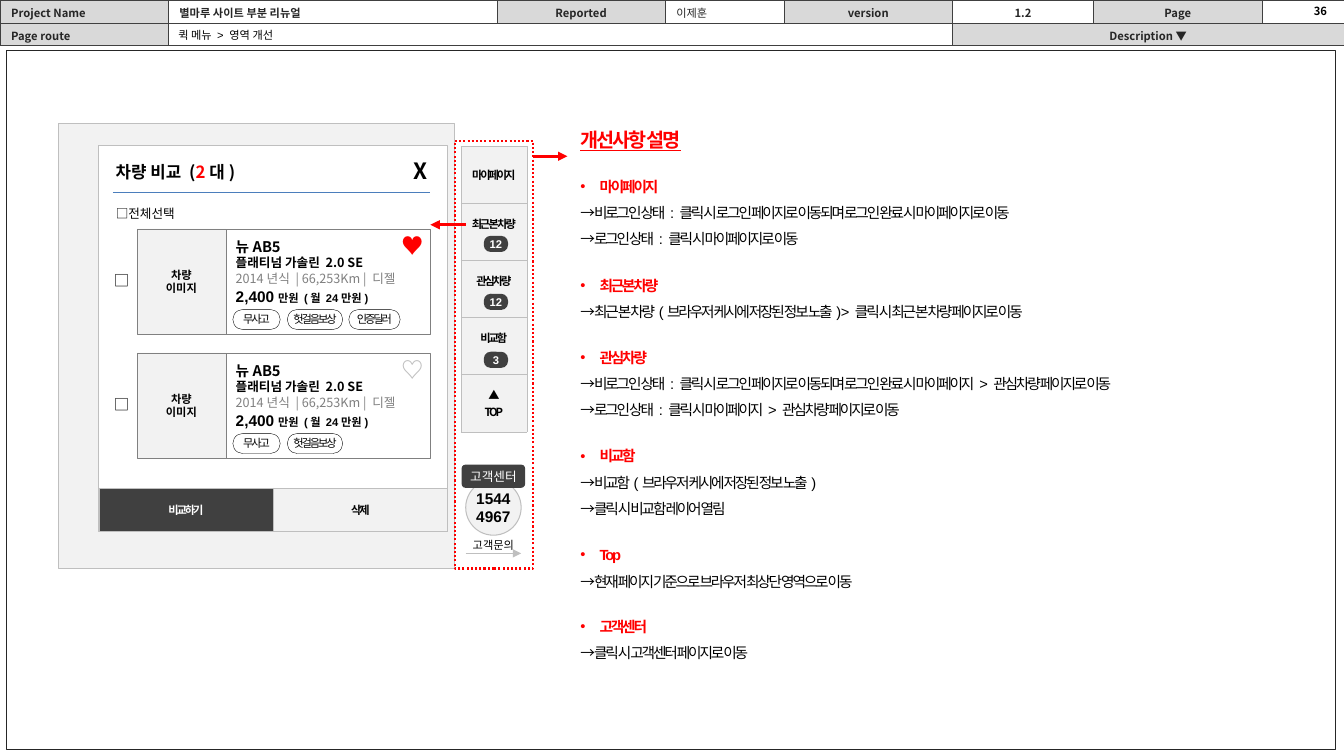
import pptx
import pptx.util
import pptx.dml.color
import pptx.enum.dml
import pptx.enum.shapes
import pptx.enum.text
import pptx.oxml
import pptx.oxml.ns
import lxml.etree

theme = {
    "sans": "Noto Sans CJK KR", "latin": "Arial",
    "black": "000000", "white": "FFFFFF", "ink": "262626", "dark": "404040",
    "gray": "808080", "silver": "BFBFBF", "header": "D9D9D9", "pale": "F2F2F2",
    "red": "FF0000", "blue": "4B7EBC",
    "small": 8, "note": 9, "body": 10.5, "number": 11, "title": 12, "heading": 14, "icon": 16,
}
RECTANGLE = pptx.enum.shapes.MSO_SHAPE.RECTANGLE
ROUNDED = pptx.enum.shapes.MSO_SHAPE.ROUNDED_RECTANGLE
OVAL = pptx.enum.shapes.MSO_SHAPE.OVAL
MIDDLE = pptx.enum.text.MSO_ANCHOR.MIDDLE
TOP = pptx.enum.text.MSO_ANCHOR.TOP
LEFT = pptx.enum.text.PP_ALIGN.LEFT
CENTER = pptx.enum.text.PP_ALIGN.CENTER
RIGHT = pptx.enum.text.PP_ALIGN.RIGHT
color = pptx.dml.color.RGBColor.from_string
qn = pptx.oxml.ns.qn

presentation = pptx.Presentation()
presentation.slide_width = pptx.util.Inches(13.33)
presentation.slide_height = pptx.util.Inches(7.5)
slide = presentation.slides.add_slide(presentation.slide_layouts[6])
column = presentation.slide_width / 160
row = presentation.slide_height / 90


def write(frame, lines, align=LEFT, spacing=(), tight=False, **base):
    for index, line in enumerate(lines):
        paragraph = frame.paragraphs[0] if index == 0 else frame.add_paragraph()
        paragraph.alignment = align
        if spacing:
            paragraph.line_spacing = pptx.util.Pt(spacing[index % len(spacing)])
        for text, changes in ([(line, {})] if isinstance(line, str) else line):
            style = {"size": theme["small"], "name": theme["sans"], "color": theme["black"],
                     "bold": False, **base, **changes}
            run = paragraph.add_run()
            run.text = text
            run.font.color.rgb = color(style.pop("color"))
            style["size"] = pptx.util.Pt(style["size"])
            for attribute, value in style.items():
                setattr(run.font, attribute, value)
            properties = run._r.get_or_add_rPr()
            lxml.etree.SubElement(properties, qn("a:ea"), typeface=theme["sans"])
            if tight:
                properties.set("spc", "-150")


def box(kind, place, fill=None, line=None, weight=0.75, radius=None, anchor=MIDDLE, margins=(0.1, 0, 0.1, 0)):
    size = [round(value * unit) for value, unit in zip(place, (column, row, column, row))]
    if kind is None:
        shape = slide.shapes.add_textbox(*size)
    else:
        shape = slide.shapes.add_shape(kind, *size)
        shape.shadow.inherit = False
        if fill:
            shape.fill.solid()
            shape.fill.fore_color.rgb = color(fill)
        else:
            shape.fill.background()
        if line:
            shape.line.color.rgb = color(line)
            shape.line.width = pptx.util.Pt(weight)
        else:
            shape.line.fill.background()
        if radius is not None:
            shape.adjustments[0] = radius
    frame = shape.text_frame
    frame.word_wrap = True
    frame.vertical_anchor = anchor
    for side, margin in zip(("left", "top", "right", "bottom"), margins):
        setattr(frame, "margin_" + side, pptx.util.Inches(margin))
    return shape


box(RECTANGLE, (0.72, 6, 158.28, 83.16), line=theme["ink"], weight=0.5)
box(RECTANGLE, (6.96, 14.76, 47.16, 52.92), theme["pale"], theme["silver"])
quick_area = box(RECTANGLE, (54.12, 16.8, 9.36, 50.88), line=theme["red"], weight=1.5)
quick_area.line.dash_style = pptx.enum.dml.MSO_LINE.ROUND_DOT
box(RECTANGLE, (11.76, 17.28, 41.52, 45.96), theme["white"], theme["silver"])

label = {"bold": True, "color": theme["ink"]}
head = {"fill": theme["header"], "format": label}
head_center = {**head, "align": CENTER}
value = {"fill": theme["white"], "format": label}
menu = {"fill": theme["pale"], "align": CENTER, "tight": True, "format": {"bold": True}}
counted = {**menu, "bottom": 0.16}
tables = [
    ((0, 0), (20.04, 39.12, 20.04, 14.16, 20.04, 16.8, 20.04, 9.76), 2.7, theme["dark"],
     (0.11, 0.03, 0.11, 0), [((1, 1), (1, 4)), ((1, 5), (1, 7))], [
        [("Project Name", head), ("별마루 사이트 부분 리뉴얼", value), ("Reported", head_center),
         ("이제훈", {"fill": theme["white"], "format": {"color": theme["ink"]}}),
         ("version", head_center), ("1.2", {**value, "align": CENTER}), ("Page", head_center), ("", value)],
        [("Page route", head)] + [("", value)] * 4 + [("Description ▼", head_center)] + [("", head)] * 2]),
    ((54.84, 17.4), (7.92,), 6.8, theme["silver"], (0, 0, 0, 0), [], [
        [("마이페이지", menu)], [("최근 본 차량", counted)], [("관심차량", counted)],
        [("비교함", counted)], [("▲\nTOP", menu)]]),
    ((11.76, 58.08), (20.76, 20.76), 5.16, theme["silver"], (0, 0, 0, 0), [], [
        [("비교하기", {**menu, "fill": theme["dark"], "format": {"bold": True, "color": theme["white"]}}),
         ("삭제", menu)]]),
]
for (left, top), widths, height, border, margins, merges, rows in tables:
    graphic = slide.shapes.add_table(
        len(rows), len(widths), round(left * column), round(top * row),
        round(sum(widths) * column), round(len(rows) * height * row))
    table = graphic.table
    table.first_row = table.horz_banding = False
    for index, width in enumerate(widths):
        table.columns[index].width = round(width * column)
    for row_index, entries in enumerate(rows):
        table.rows[row_index].height = round(height * row)
        for column_index, (text, look) in enumerate(entries):
            cell = table.cell(row_index, column_index)
            cell.vertical_anchor = MIDDLE
            for side, margin in zip(("left", "top", "right", "bottom"), margins):
                setattr(cell, "margin_" + side, pptx.util.Inches(look.get(side, margin)))
            for edge in ("L", "R", "T", "B"):
                line = lxml.etree.SubElement(cell._tc.get_or_add_tcPr(), qn("a:ln" + edge), w="3175")
                solid = lxml.etree.SubElement(line, qn("a:solidFill"))
                lxml.etree.SubElement(solid, qn("a:srgbClr"), val=border)
            cell.fill.solid()
            cell.fill.fore_color.rgb = color(look["fill"])
            if text:
                lines = text.split("\n")
                write(cell.text_frame, lines, look.get("align", LEFT), (12,) if len(lines) > 1 else (),
                      look.get("tight", False), **look["format"])
            else:
                cell.text_frame.paragraphs[0].font.size = pptx.util.Pt(theme["small"])
    for start, end in merges:
        table.cell(*start).merge(table.cell(*end))

labels = [
    ((154.2, 0.12, 6, 2.28), ["36"], CENTER, {"bold": True}),
    ((20.04, 2.88, 93.24, 2.52), ["퀵 메뉴 > 영역 개선"], LEFT, {"name": theme["latin"]}),
    ((54.48, 63.48, 8.52, 2.88), ["고객문의"], CENTER, {}),
    ((12.6, 18.6, 23.4, 3.6), [[("차량 비교 (", {}), ("2", {"color": theme["red"]}), ("대)", {})]],
     LEFT, {"size": theme["title"], "bold": True}),
    ((28.68, 18.12, 23.4, 4.44), ["X"], RIGHT, {"size": theme["icon"], "bold": True}),
    ((12.6, 23.88, 30.24, 3), ["□전체선택"], LEFT, {"size": theme["note"]}),
]
for place, lines, align, style in labels:
    write(box(None, place).text_frame, lines, align, **style)

for index, count in enumerate(("12", "12", "3")):
    badge = box(ROUNDED, (57.6, 28.08 + 6.9 * index, 2.88, 1.92), theme["dark"], radius=0.42, margins=(0, 0, 0, 0))
    write(badge.text_frame, [count], CENTER, name=theme["latin"], color=theme["white"], bold=True)

phone = box(OVAL, (55.44, 57.12, 6.6, 6.6), theme["pale"], theme["silver"], margins=(0, 0, 0, 0))
write(phone.text_frame, ["1544", "4967"], CENTER, name=theme["latin"], size=theme["number"], bold=True)
center = box(ROUNDED, (54.96, 55.32, 7.56, 2.76), theme["dark"], margins=(0, 0, 0, 0))
write(center.text_frame, ["고객센터"], CENTER, name=theme["latin"], size=theme["note"], color=theme["white"])

pills = [("무사고", 27.72, 5.64), ("헛걸음보상", 34.2, 6.6), ("인증딜러", 41.52, 6.12)]
cards = [("♥", theme["red"], pills), ("♡", theme["silver"], pills[:2])]
for index, (heart, heart_color, card_pills) in enumerate(cards):
    top = 27.24 + 14.76 * index
    details = box(RECTANGLE, (26.88, top, 24.36, 12.6), line=theme["gray"], weight=0.25,
                  anchor=TOP, margins=(0.1, 0.08, 0.1, 0))
    write(details.text_frame, [
        [("뉴AB5", {"size": theme["body"]})],
        "플래티넘 가솔린 2.0 SE",
        [("2014년식 | 66,253Km | 디젤", {"color": theme["gray"], "bold": False})],
        [("2,400", {"size": theme["number"], "name": theme["latin"]}),
         ("만원 (월 24만원)", {"size": theme["small"], "name": theme["latin"]})],
    ], spacing=(13, 11, 11.4, 13.8), size=theme["note"], bold=True)
    for text, left, width in card_pills:
        pill = box(ROUNDED, (left, top + 9.6, width, 2.4), line=theme["black"], weight=0.25,
                   radius=0.5, margins=(0, 0, 0, 0))
        write(pill.text_frame, [text], CENTER, tight=True, name=theme["latin"])
    mark = box(None, (39.12, top - 0.24, 12.84, 4.44), margins=(0.1, 0, 0.13, 0))
    write(mark.text_frame, [heart], RIGHT, size=theme["icon"], color=heart_color, bold=True)
    thumbnail = box(RECTANGLE, (16.32, top, 10.56, 12.6), theme["pale"], theme["gray"], 0.25)
    write(thumbnail.text_frame, ["차량", "이미지"], CENTER, (9.3,), bold=True)
    checkbox = box(None, (12.36, top + 4.44, 30.24, 3.48))
    write(checkbox.text_frame, ["□"], size=theme["number"])

sections = [
    (13.2, 16.68, "마이페이지", ["→ 비로그인 상태 : 클릭 시 로그인 페이지로 이동되며 로그인 완료 시 마이페이지로 이동",
                            "→ 로그인 상태 : 클릭 시 마이페이지로 이동"]),
    (31.32, 7.2, "최근본차량", ["→ 최근 본 차량(브라우저 케시에 저장된 정보 노출) > 클릭 시 최근 본 차량 페이지로 이동"]),
    (39.84, 10.32, "관심차량", ["→ 비로그인 상태 : 클릭 시 로그인 페이지로 이동되며 로그인 완료 시 마이페이지 > 관심차량 페이지로 이동",
                            "→ 로그인 상태 : 클릭 시 마이페이지 > 관심차량 페이지로 이동"]),
    (51.6, 10.32, "비교함", ["→ 비교함(브라우저 케시에 저장된 정보 노출)", "→ 클릭 시 비교함 레이어 열림"]),
    (63.36, 7.2, "Top", ["→ 현재 페이지 기준으로 브라우저 최상단 영역으로 이동"]),
    (71.88, 7.2, "고객센터", ["→ 클릭 시 고객센터 페이지로 이동"]),
]
emphasis = {"color": theme["red"], "bold": True}
for index, (top, height, name, notes) in enumerate(sections):
    frame = box(None, (67.92, top, 85.08, height), anchor=TOP, margins=(0.1, 0.05, 0.1, 0.05)).text_frame
    lines = [[(name, emphasis)]] + notes
    spacing = [18.9] * len(lines)
    if index == 0:
        lines.insert(0, [("개선사항 설명", {**emphasis, "size": theme["heading"], "underline": True})])
        spacing.insert(0, 25.2)
    write(frame, lines, spacing=spacing, tight=True, name=theme["latin"], size=theme["body"])
    bulleted = frame.paragraphs[1 if index == 0 else 0]
    if index == 0:
        bulleted.space_before = pptx.util.Pt(12.5)
    properties = bulleted._p.get_or_add_pPr()
    indent = pptx.util.Inches(0.19)
    properties.set("marL", str(indent))
    properties.set("indent", str(-indent))
    lxml.etree.SubElement(properties, qn("a:buFont"), typeface=theme["latin"])
    lxml.etree.SubElement(properties, qn("a:buChar"), char="•")

connectors = [
    (13.44, 51.24, 22.92, theme["blue"], 0.75, False),
    (55.44, 62.04, 65.88, theme["silver"], 0.75, True),
    (63.48, 67.56, 18.6, theme["red"], 2.25, True),
    (55.44, 51.24, 26.76, theme["red"], 2.25, True),
]
for start, end, height, line_color, weight, arrow in connectors:
    connector = slide.shapes.add_connector(
        pptx.enum.shapes.MSO_CONNECTOR.STRAIGHT,
        round(start * column), round(height * row), round(end * column), round(height * row))
    connector.line.color.rgb = color(line_color)
    connector.line.width = pptx.util.Pt(weight)
    properties = connector.element.spPr
    if arrow:
        lxml.etree.SubElement(properties.find(qn("a:ln")), qn("a:tailEnd"), type="triangle")
    lxml.etree.SubElement(properties, qn("a:effectLst"))

presentation.save("out.pptx")
